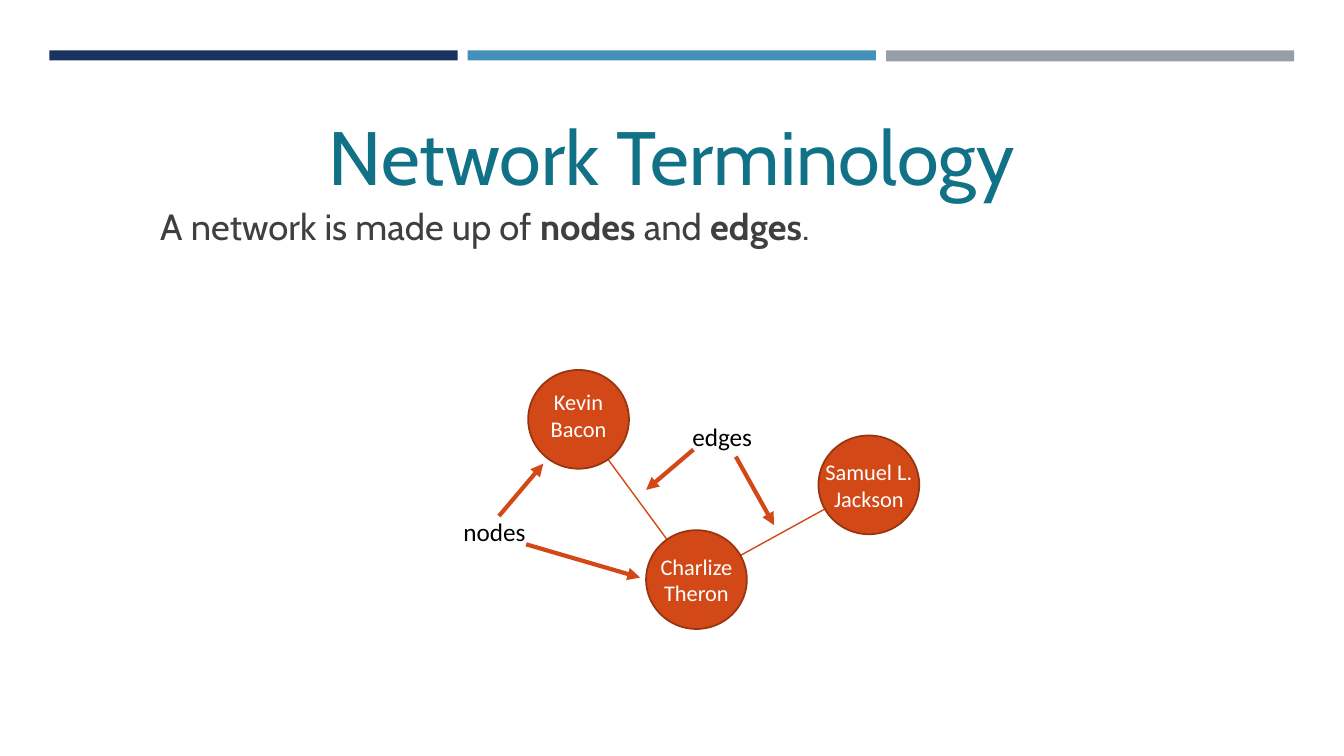
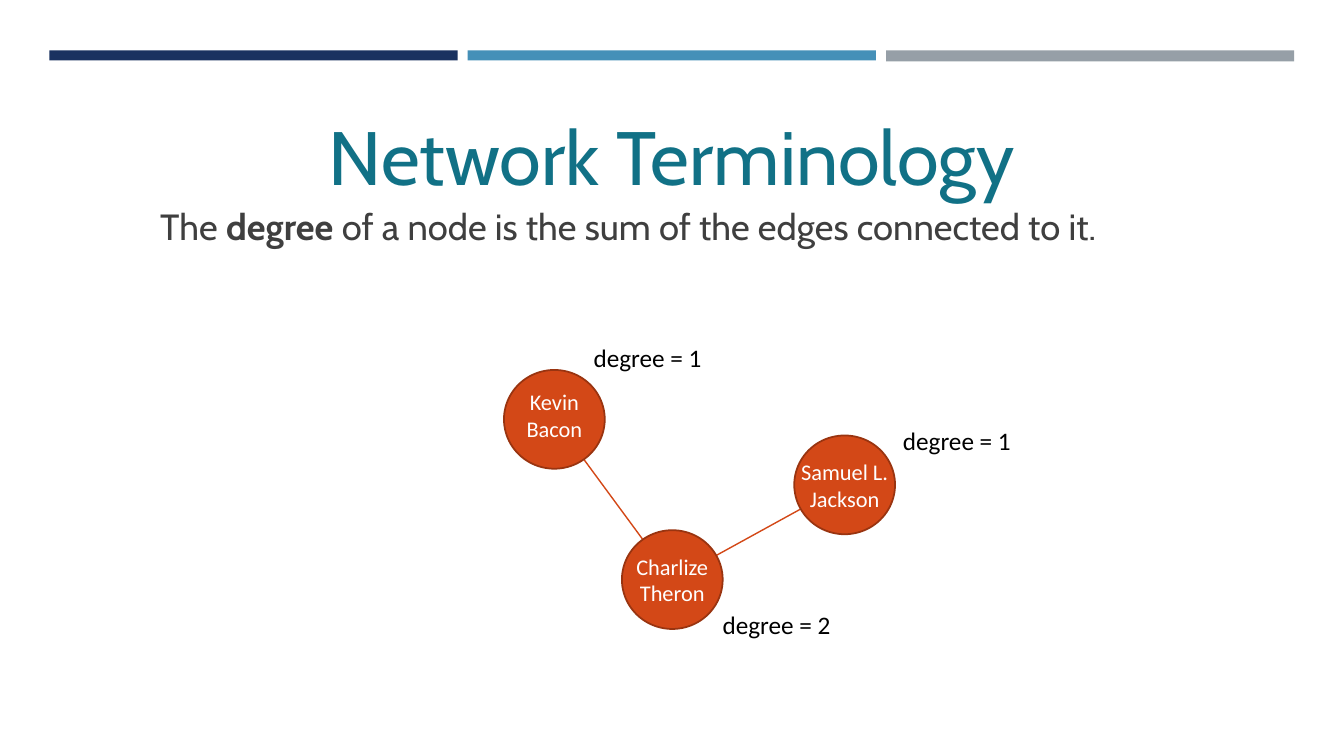
import pptx
import pptx.dml.color
import pptx.enum.shapes
import pptx.enum.text
import pptx.oxml.ns
import pptx.util
from lxml import etree

Pt = pptx.util.Pt
SHAPE = pptx.enum.shapes.MSO_SHAPE
ALIGN = pptx.enum.text.PP_ALIGN
ANCHOR = pptx.enum.text.MSO_ANCHOR
qn = pptx.oxml.ns.qn

ORANGE, ORANGE_DARK = "D34817", "993410"
TEAL, GREY, BLACK, WHITE = "117186", "3F3F3F", "000000", "FFFFFF"
HEAD_FONT, LABEL_FONT = "Cabin", "Calibri"
BARS = [("1A3260", 7.2), ("4590B8", 7.2), ("969FA7", 7.92)]

NODE_W, NODE_H = 72, 70.56
NODES = [
    ("Kevin", "Bacon", 0, 0, 6),
    ("Charlize", "Theron", 84.24, 114.48, 0),
    ("Samuel L.", "Jackson", 207.36, 46.8, 0),
]
EDGES = [(0, 1), (1, 2)]


def rgb(value):
    """Turn a hex string into a colour."""
    return pptx.dml.color.RGBColor.from_string(value)


def style(p, font, size, color, align=ALIGN.LEFT):
    """Set the font and alignment of a paragraph."""
    p.font.name = font
    p.font.size = Pt(size)
    p.font.color.rgb = rgb(color)
    p.alignment = align


def set_insets(tf, x, y, bottom=None):
    """Set the inner margins of a text frame."""
    tf.margin_left = tf.margin_right = Pt(x)
    tf.margin_top = Pt(y)
    tf.margin_bottom = Pt(y if bottom is None else bottom)


def add_text(slide, left, top, width, height, inset=7.2, wrap=True):
    """Add an empty text box and return its text frame."""
    tf = slide.shapes.add_textbox(Pt(left), Pt(top), Pt(width), Pt(height)).text_frame
    tf.word_wrap = wrap
    tf.vertical_anchor = ANCHOR.TOP
    set_insets(tf, inset, 3.6)
    return tf


def add_filled(slide, kind, left, top, width, height, fill):
    """Add a plain filled shape without outline or shadow."""
    sp = slide.shapes.add_shape(kind, Pt(left), Pt(top), Pt(width), Pt(height))
    sp.shadow.inherit = False
    sp.fill.solid()
    sp.fill.fore_color.rgb = rgb(fill)
    sp.line.fill.background()
    return sp


def add_line(slide, x1, y1, x2, y2, width, arrow=False):
    """Add a straight orange line, with an arrowhead at its end if asked."""
    line = slide.shapes.add_connector(
        pptx.enum.shapes.MSO_CONNECTOR.STRAIGHT, Pt(x1), Pt(y1), Pt(x2), Pt(y2))
    line.line.color.rgb = rgb(ORANGE)
    line.line.width = Pt(width)
    if arrow:
        etree.SubElement(line.line._get_or_add_ln(), qn("a:tailEnd"), type="triangle")
    etree.SubElement(line._element.spPr, qn("a:effectLst"))


def add_bars(slide, left, top, width, gap):
    """Draw the row of coloured bars across the top."""
    for i, (color, height) in enumerate(BARS):
        add_filled(slide, SHAPE.RECTANGLE, left + i * (width + gap), top, width, height, color)


def add_title(slide, text, left, top, width, height):
    """Write the large centred title."""
    p = add_text(slide, left, top, width, height).paragraphs[0]
    p.text = text
    p.line_spacing = 1.26
    style(p, HEAD_FONT, 54, TEAL, ALIGN.CENTER)


def add_statement(slide, runs, left, top, width, height):
    """Write the sentence under the title from (text, bold) runs."""
    p = add_text(slide, left, top, width, height, inset=0).paragraphs[0]
    p.line_spacing = 0.9
    p.space_before = Pt(6)
    style(p, HEAD_FONT, 26, GREY)
    pPr = p._p.get_or_add_pPr()
    pPr.set("marL", str(Pt(30.24)))
    pPr.set("indent", str(Pt(-2.16)))
    for text, bold in runs:
        r = p.add_run()
        r.text = text
        r.font.bold = bold


def add_node(slide, left, top, first, last, lift):
    """Draw one round node with a two-line name."""
    sp = add_filled(slide, SHAPE.OVAL, left, top, NODE_W, NODE_H, ORANGE)
    sp.line.color.rgb = rgb(ORANGE_DARK)
    sp.line.width = Pt(1.25)
    tf = sp.text_frame
    tf.word_wrap = False
    tf.vertical_anchor = ANCHOR.MIDDLE
    set_insets(tf, 0, 0, lift)
    for i, name in enumerate((first, last)):
        p = tf.add_paragraph() if i else tf.paragraphs[0]
        p.text = name
        style(p, LABEL_FONT, 16, WHITE, ALIGN.CENTER)


def add_network(slide, left, top, labels, arrows):
    """Draw edges, nodes, labels and pointers relative to the top-left corner."""
    centres = [(left + x + NODE_W / 2, top + y + NODE_H / 2) for _, _, x, y, _ in NODES]
    for start, end in EDGES:
        add_line(slide, *centres[start], *centres[end], 1)
    for first, last, x, y, lift in NODES:
        add_node(slide, left + x, top + y, first, last, lift)
    for text, x, y, width in labels:
        p = add_text(slide, left + x, top + y, width, 28.8, wrap=False).paragraphs[0]
        p.text = text
        style(p, LABEL_FONT, 18, BLACK)
    for x1, y1, x2, y2 in arrows:
        add_line(slide, left + x1, top + y1, left + x2, top + y2, 3, arrow=True)


def add_term_slide(prs, statement, network_left, labels, arrows=()):
    """Build one terminology slide."""
    slide = prs.slides.add_slide(prs.slide_layouts[6])
    add_bars(slide, 35.28, 36, 291.6, 7.2)
    add_title(slide, "Network Terminology", 119.52, 58.32, 720.72, 70.56)
    add_statement(slide, statement, 86.4, 145.44, 792, 77.76)
    add_network(slide, network_left, 264.24, labels, arrows)


def main():
    """Build and save the deck."""
    prs = pptx.Presentation()
    prs.slide_width, prs.slide_height = Pt(960), Pt(540)
    add_term_slide(
        prs,
        [("A network is made up of ", False), ("nodes ", True), ("and ", False),
         ("edges", True), (".", False)],
        377.28,
        [("nodes", -53.28, 100.8, 59.76), ("edges", 110.16, 33.12, 57.6)],
        [(-20.88, 104.4, 10.8, 66.96), (-1.44, 124.56, 79.92, 148.32),
         (118.08, 56.88, 84.24, 85.68), (148.32, 61.92, 175.68, 110.88)])
    add_term_slide(
        prs,
        [("The ", False), ("degree ", True),
         ("of a node is the sum of the edges connected to it.", False)],
        360,
        [("degree = 1", 56.88, -23.04, 92.88), ("degree = 2", 149.04, 167.76, 92.88),
         ("degree = 1", 277.92, 36, 92.88)])
    prs.save("out.pptx")


if __name__ == "__main__":
    main()
